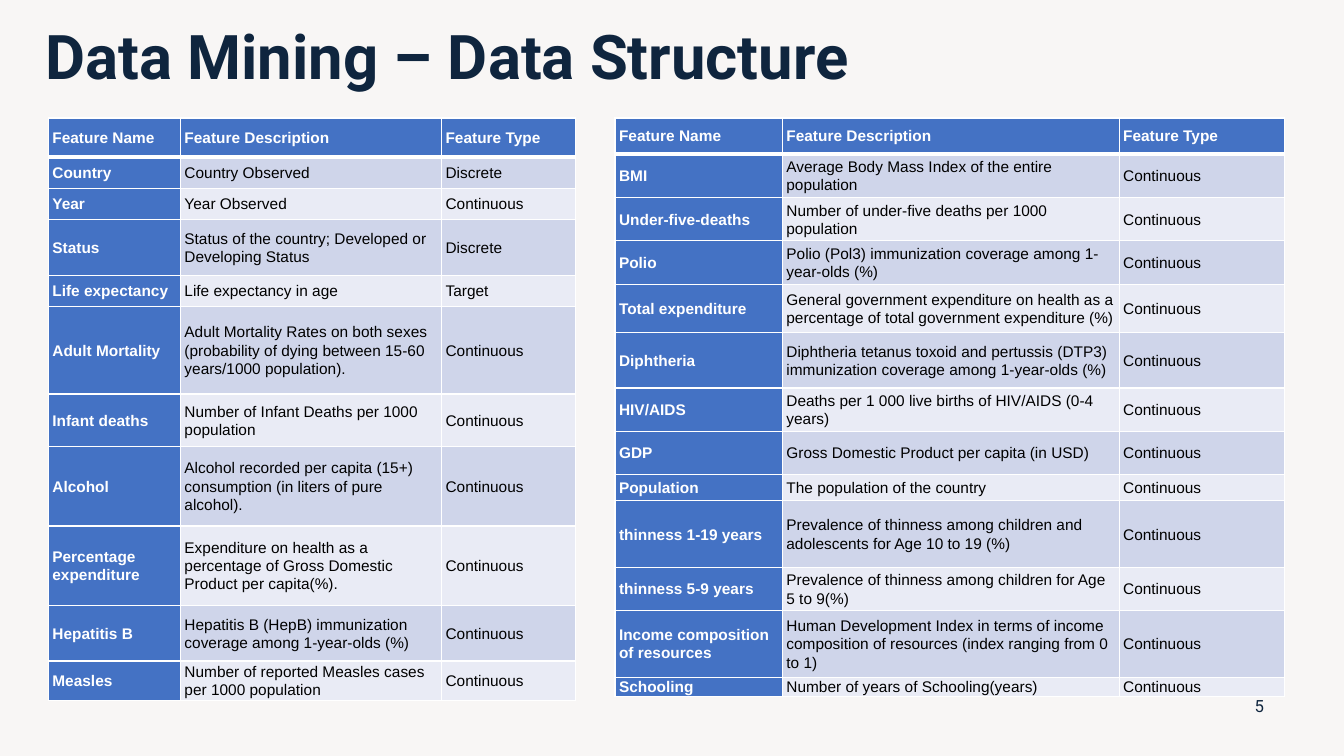
from lxml import etree
from pptx import Presentation
from pptx.dml.color import RGBColor
from pptx.enum.text import MSO_ANCHOR, PP_ALIGN
from pptx.oxml.ns import qn
from pptx.util import Pt

PX = 9144
MIDDLE = MSO_ANCHOR.MIDDLE
LEFT, CENTER = PP_ALIGN.LEFT, PP_ALIGN.CENTER
COLORS = {
    "background": "F8F6F5",
    "navy": "0F253E",
    "blue": "4472C4",
    "odd": "CFD5EA",
    "even": "E9EBF5",
    "white": "FFFFFF",
    "black": "000000",
}

HEADER = ("Feature Name", "Feature Description", "Feature Type")
LEFT_FEATURES = [
    ("Country", "Country Observed", "Discrete"),
    ("Year", "Year Observed", "Continuous"),
    ("Status", "Status of the country; Developed or Developing Status", "Discrete"),
    ("Life expectancy", "Life expectancy in age", "Target"),
    ("Adult Mortality", "Adult Mortality Rates on both sexes (probability of dying "
     "between 15-60 years/1000 population).", "Continuous"),
    ("Infant deaths", "Number of Infant Deaths per 1000 population", "Continuous"),
    ("Alcohol", "Alcohol recorded per capita (15+) consumption (in liters of pure "
     "alcohol).", "Continuous"),
    ("Percentage expenditure", "Expenditure on health as a percentage of Gross "
     "Domestic Product per capita(%).", "Continuous"),
    ("Hepatitis B", "Hepatitis B (HepB) immunization coverage among 1-year-olds (%)",
     "Continuous"),
    ("Measles", "Number of reported Measles cases per 1000 population", "Continuous"),
]
RIGHT_FEATURES = [
    ("BMI", "Average Body Mass Index of the entire population", "Continuous"),
    ("Under-five-deaths", "Number of under-five deaths per 1000 population",
     "Continuous"),
    ("Polio", "Polio (Pol3) immunization coverage among 1-year-olds (%)",
     "Continuous"),
    ("Total expenditure", "General government expenditure on health as a percentage "
     "of total government expenditure (%)", "Continuous"),
    ("Diphtheria", "Diphtheria tetanus toxoid and pertussis (DTP3) immunization "
     "coverage among 1-year-olds (%)", "Continuous"),
    ("HIV/AIDS", "Deaths per 1 000 live births of HIV/AIDS (0-4 years)", "Continuous"),
    ("GDP", "Gross Domestic Product per capita (in USD)", "Continuous"),
    ("Population", "The population of the country", "Continuous"),
    ("thinness 1-19 years", "Prevalence of thinness among children and adolescents "
     "for Age 10 to 19 (%)", "Continuous"),
    ("thinness 5-9 years", "Prevalence of thinness among children for Age 5 to 9(%)",
     "Continuous"),
    ("Income composition of resources", "Human Development Index in terms of income "
     "composition of resources (index ranging from 0 to 1)", "Continuous"),
    ("Schooling", "Number of years of Schooling(years)", "Continuous"),
]
LEFT_ROWS = [39, 31, 31, 55, 31, 87, 52, 79, 79, 55, 37]
RIGHT_ROWS = [36, 43, 43, 43, 48, 55, 43, 43, 26, 66, 43, 66, 10]


def rgb(name):
    return RGBColor.from_string(COLORS[name])


def add_text(tf, text, size, font, color, bold=False, align=LEFT, spacing=1.0):
    p = tf.paragraphs[0]
    p.alignment = align
    p.line_spacing = spacing
    r = p.add_run()
    r.text = text
    r.font.size = Pt(size)
    r.font.name = font
    r.font.bold = bold
    r.font.color.rgb = rgb(color)


def add_borders(cell, top, bottom):
    tc_pr = cell._tc.get_or_add_tcPr()
    for side, width in (("L", 1), ("R", 1), ("T", top), ("B", bottom)):
        ln = etree.SubElement(tc_pr, qn(f"a:ln{side}"), w=str(Pt(width)))
        fill = etree.SubElement(ln, qn("a:solidFill"))
        etree.SubElement(fill, qn("a:srgbClr"), val=COLORS["white"])


def add_title(slide, box, text):
    sp = slide.shapes.title
    sp.left, sp.top, sp.width, sp.height = (v * PX for v in box)
    tf = sp.text_frame
    tf.vertical_anchor = MIDDLE
    add_text(tf, text, 44, "Roboto", "navy", bold=True, spacing=0.9)


def add_page_number(slide, box, text):
    tf = slide.shapes.add_textbox(*(v * PX for v in box)).text_frame
    tf.word_wrap = True
    tf.vertical_anchor = MIDDLE
    add_text(tf, text, 12, "Roboto", "navy", align=CENTER)


def add_feature_table(slide, box, widths, heights, features):
    rows = [HEADER] + features
    frame = slide.shapes.add_table(len(rows), len(widths), *(v * PX for v in box))
    table = frame.table
    for column, width in zip(table.columns, widths):
        column.width = width * PX
    for i, (values, height) in enumerate(zip(rows, heights)):
        table.rows[i].height = height * PX
        for j, value in enumerate(values):
            cell = table.cell(i, j)
            heading = i == 0 or j == 0
            add_borders(cell, 3 if i == 1 else 1, 3 if i == 0 else 1)
            cell.fill.solid()
            cell.fill.fore_color.rgb = rgb(
                "blue" if heading else "odd" if i % 2 else "even")
            cell.margin_left = cell.margin_right = 4 * PX
            cell.margin_top = cell.margin_bottom = 0
            cell.vertical_anchor = MIDDLE
            add_text(cell.text_frame, value, 11, "Arial",
                     "white" if heading else "black", bold=heading, spacing=1.06)


def main():
    prs = Presentation()
    prs.slide_width, prs.slide_height = 1333 * PX, 750 * PX
    slide = prs.slides.add_slide(prs.slide_layouts[5])
    slide.background.fill.solid()
    slide.background.fill.fore_color.rgb = rgb("background")
    add_title(slide, (35, 25, 1150, 68), "Data Mining – Data Structure")
    add_page_number(slide, (1224, 680, 50, 40), "5")
    add_feature_table(slide, (48, 117, 523, 575), (131, 259, 133),
                      LEFT_ROWS, LEFT_FEATURES)
    add_feature_table(slide, (610, 117, 664, 574), (166, 334, 164),
                      RIGHT_ROWS, RIGHT_FEATURES)
    prs.save("out.pptx")


if __name__ == "__main__":
    main()
